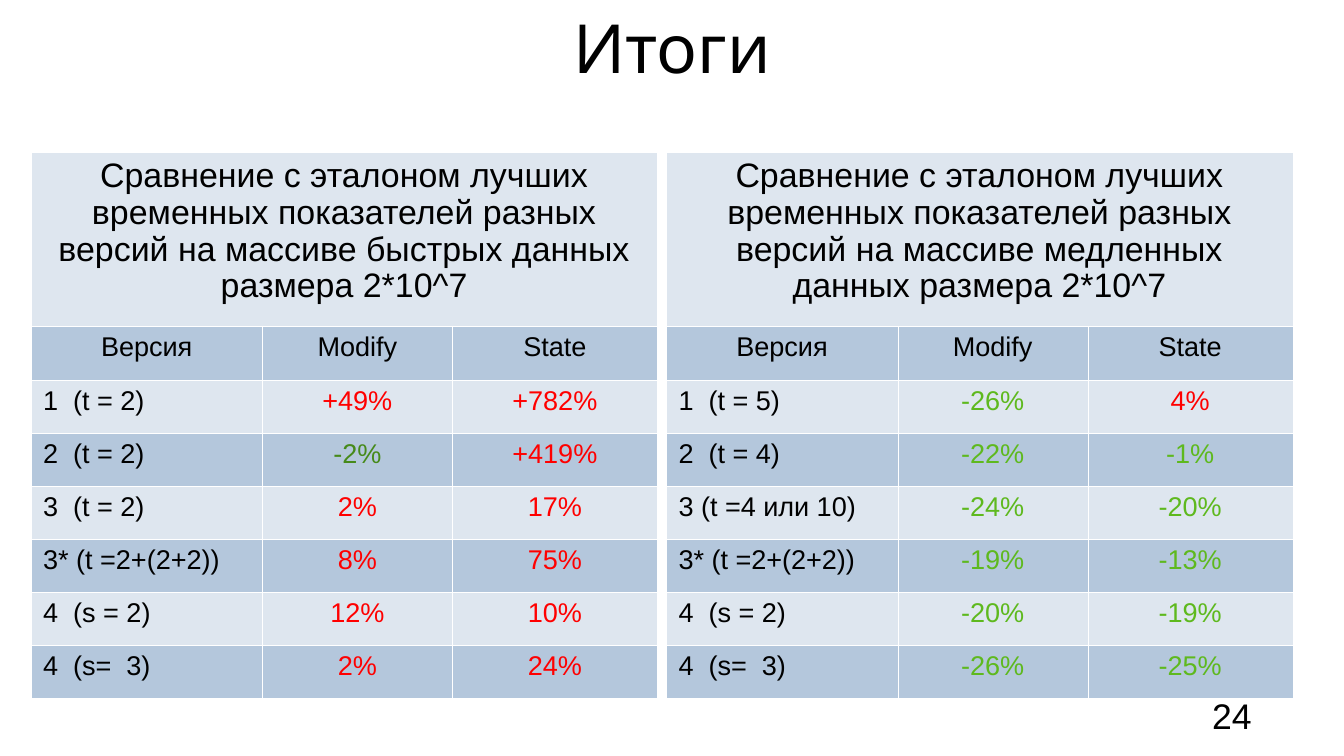
from dataclasses import dataclass

from lxml import etree
from pptx import Presentation
from pptx.dml.color import RGBColor
from pptx.enum import text as t
from pptx.oxml import ns
from pptx.util import Pt


@dataclass(frozen=True)
class Theme:
    ink: str = "000000"
    slower: str = "FF0000"
    faster: str = "5EB91E"
    faster_dark: str = "468A1A"
    light: str = "DEE6EF"
    dark: str = "B4C7DC"
    border: str = "FFFFFF"
    body_font: str = "Arial"
    title_font: str = "Noto Sans"
    title_size: float = 40
    number_size: float = 21
    caption_size: float = 20
    cell_size: float = 16


THEME = Theme()
COLUMN_WIDTHS = (136.6, 112.2, 121)
CAPTION_HEIGHT, ROW_HEIGHT = 102.8, 31.4
HEADINGS = ("Версия", "Modify", "State")

FAST_CAPTION = ("Сравнение с эталоном лучших временных показателей разных "
                "версий на массиве быстрых данных размера 2*10^7")
FAST_RESULTS = (
    ("1  (t = 2)", "+49%", "+782%"),
    ("2  (t = 2)", "-2%", "+419%"),
    ("3  (t = 2)", "2%", "17%"),
    ("3* (t =2+(2+2))", "8%", "75%"),
    ("4  (s = 2)", "12%", "10%"),
    ("4  (s=  3)", "2%", "24%"),
)
SLOW_CAPTION = ("Сравнение с эталоном лучших временных показателей разных "
                "версий на массиве медленных данных размера 2*10^7")
SLOW_RESULTS = (
    ("1  (t = 5)", "-26%", "4%"),
    ("2  (t = 4)", "-22%", "-1%"),
    ("3 (t =4 или 10)", "-24%", "-20%"),
    ("3* (t =2+(2+2))", "-19%", "-13%"),
    ("4  (s = 2)", "-20%", "-19%"),
    ("4  (s=  3)", "-26%", "-25%"),
)


def write(frame, words, size, color=THEME.ink, font=THEME.body_font, centred=False):
    paragraph = frame.paragraphs[0]
    paragraph.alignment = t.PP_ALIGN.CENTER if centred else t.PP_ALIGN.LEFT
    run = paragraph.add_run()
    run.text = words
    run.font.size = Pt(size)
    run.font.name = font
    run.font.color.rgb = RGBColor.from_string(color)
    return paragraph


def style_cell(cell, fill):
    """Give the cell hairline borders, a fill and its margins."""
    properties = cell._tc.get_or_add_tcPr()
    for side in ("a:lnL", "a:lnR", "a:lnT", "a:lnB"):
        line = etree.SubElement(properties, ns.qn(side), w=str(Pt(0.06)))
        solid = etree.SubElement(line, ns.qn("a:solidFill"))
        etree.SubElement(solid, ns.qn("a:srgbClr"), val=THEME.border)
    cell.fill.solid()
    cell.fill.fore_color.rgb = RGBColor.from_string(fill)
    cell.margin_left = cell.margin_right = Pt(7.2)
    cell.margin_top = cell.margin_bottom = Pt(3.6)


def add_comparison(slide, left, top, caption, results, faster):
    """Place a captioned table; negative changes take the faster colour."""
    rows = (HEADINGS, *results)
    height = CAPTION_HEIGHT + ROW_HEIGHT * len(rows)
    comparison = slide.shapes.add_table(
        len(rows) + 1, len(HEADINGS), Pt(left), Pt(top),
        Pt(sum(COLUMN_WIDTHS)), Pt(height)).table
    comparison.first_row = comparison.horz_banding = False
    for column, width in zip(comparison.columns, COLUMN_WIDTHS):
        column.width = Pt(width)
    for index, row in enumerate(comparison.rows):
        row.height = Pt(ROW_HEIGHT if index else CAPTION_HEIGHT)
        for cell in row.cells:
            style_cell(cell, THEME.dark if index % 2 else THEME.light)

    heading = comparison.cell(0, 0)
    heading.merge(comparison.cell(0, len(HEADINGS) - 1))
    write(heading.text_frame, caption, THEME.caption_size,
          centred=True).line_spacing = 0.97

    for r, values in enumerate(rows, 1):
        for c, value in enumerate(values):
            color = THEME.ink
            if r > 1 and c > 0:
                color = faster if value.startswith("-") else THEME.slower
            write(comparison.cell(r, c).text_frame, value, THEME.cell_size,
                  color, centred=r == 1 or c > 0)


def add_title(slide, words, left, top, width, height):
    title = slide.shapes.title
    title.left, title.top = Pt(left), Pt(top)
    title.width, title.height = Pt(width), Pt(height)
    frame = title.text_frame
    frame.margin_left = frame.margin_right = 0
    frame.margin_top = frame.margin_bottom = 0
    frame.vertical_anchor = t.MSO_ANCHOR.MIDDLE
    frame.auto_size = t.MSO_AUTO_SIZE.NONE
    write(frame, words, THEME.title_size, font=THEME.title_font, centred=True)


def add_page_number(slide, number, left, top, width, height):
    page = slide.shapes.add_textbox(Pt(left), Pt(top), Pt(width), Pt(height))
    page.text_frame.word_wrap = True
    write(page.text_frame, number, THEME.number_size)


def main():
    deck = Presentation()
    deck.slide_width, deck.slide_height = Pt(793.44), Pt(446.4)
    slide = deck.slides.add_slide(deck.slide_layouts[5])
    add_page_number(slide, "24", 708.5, 406, 84, 34)
    add_title(slide, "Итоги", 0, 0, 793.44, 54.7)
    add_comparison(slide, 393.4, 90, SLOW_CAPTION, SLOW_RESULTS, THEME.faster)
    add_comparison(slide, 18.3, 90, FAST_CAPTION, FAST_RESULTS, THEME.faster_dark)
    deck.save("out.pptx")


if __name__ == "__main__":
    main()
